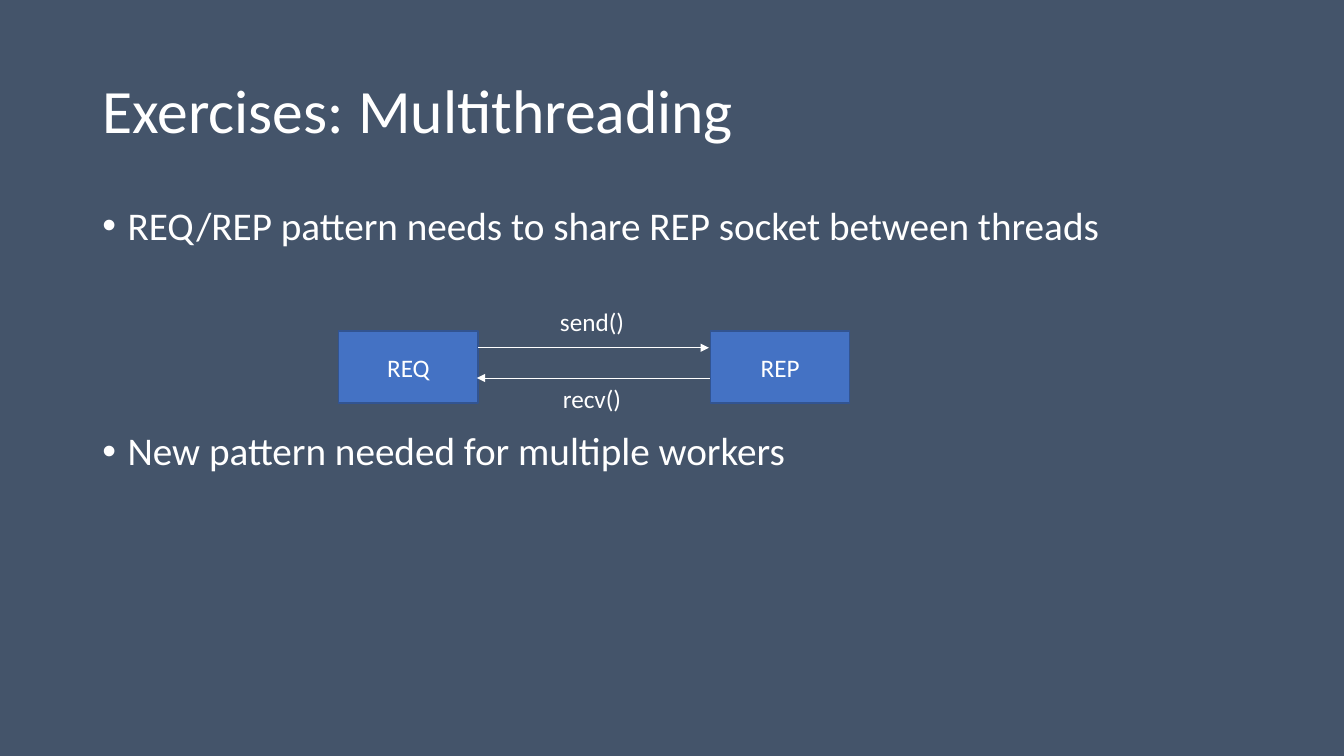
"""Build the multithreading exercise slide with its REQ/REP diagram."""
from lxml.etree import SubElement
from pptx import Presentation
from pptx.dml.color import RGBColor
from pptx.enum.shapes import MSO_CONNECTOR as CONN, MSO_SHAPE as SHAPE
from pptx.enum.text import MSO_ANCHOR as ANCHOR, MSO_AUTO_SIZE as FIT, PP_ALIGN as ALIGN
from pptx.oxml.ns import qn
from pptx.util import Pt

WHITE, BLUE, NAVY, SLATE = "FFFFFF", "4472C4", "325491", "44546A"


def rgb(value):
    return RGBColor.from_string(value)


def write(p, text, size=18, color=WHITE, align=ALIGN.LEFT, spacing=None, before=0):
    p.alignment = align
    p.line_spacing = spacing
    p.space_before = Pt(before)
    r = p.add_run()
    r.text = text
    r.font.name = "Calibri"
    r.font.size = Pt(size)
    r.font.color.rgb = rgb(color)


prs = Presentation()
prs.slide_width, prs.slide_height = Pt(960), Pt(540)
s = prs.slides.add_slide(prs.slide_layouts[1])
s.background.fill.solid()
s.background.fill.fore_color.rgb = rgb(SLATE)

title, body = s.placeholders
for sp, top, height, anchor in [(title, 28.8, 104.4, ANCHOR.MIDDLE),
                                (body, 144, 231, ANCHOR.TOP)]:
    sp.left, sp.top, sp.width, sp.height = Pt(66), Pt(top), Pt(828), Pt(height)
    sp.text_frame.vertical_anchor = anchor
    sp.text_frame.auto_size = FIT.NONE
write(title.text_frame.paragraphs[0], "Exercises: Multithreading", size=44, spacing=0.9)

tf = body.text_frame
bullets = [("REQ/REP pattern needs to share REP socket between threads", 10),
           ("New pattern needed for multiple workers", 130.5)]
for i, (text, before) in enumerate(bullets):
    p = tf.add_paragraph() if i else tf.paragraphs[0]
    write(p, text, size=28, spacing=0.9, before=before)
    pPr = p._p.get_or_add_pPr()
    pPr.set("marL", str(Pt(18)))
    pPr.set("indent", str(-Pt(18)))

for name, left in [("REQ", 242), ("REP", 507.6)]:
    sp = s.shapes.add_shape(SHAPE.RECTANGLE, Pt(left), Pt(236.4), Pt(99.4), Pt(51.6))
    sp.shadow.inherit = False
    sp.fill.solid()
    sp.fill.fore_color.rgb = rgb(BLUE)
    sp.line.color.rgb = rgb(NAVY)
    sp.line.width = Pt(1)
    sp.text_frame.vertical_anchor = ANCHOR.MIDDLE
    write(sp.text_frame.paragraphs[0], name, align=ALIGN.CENTER)

for start, end, y, call, label_top in [(341.4, 506.4, 248.4, "send()", 215.5),
                                       (507, 340.6, 270, "recv()", 270)]:
    arrow = s.shapes.add_connector(CONN.STRAIGHT, Pt(start), Pt(y), Pt(end), Pt(y))
    arrow.line.color.rgb = rgb(WHITE)
    arrow.line.width = Pt(0.5)
    SubElement(arrow.line._get_or_add_ln(), qn("a:tailEnd"), type="triangle")
    SubElement(arrow._element.spPr, qn("a:effectLst"))

    label = s.shapes.add_textbox(Pt(392.4), Pt(label_top), Pt(61), Pt(29))
    label.text_frame.word_wrap = False
    write(label.text_frame.paragraphs[0], call, align=ALIGN.CENTER)

prs.save("out.pptx")
